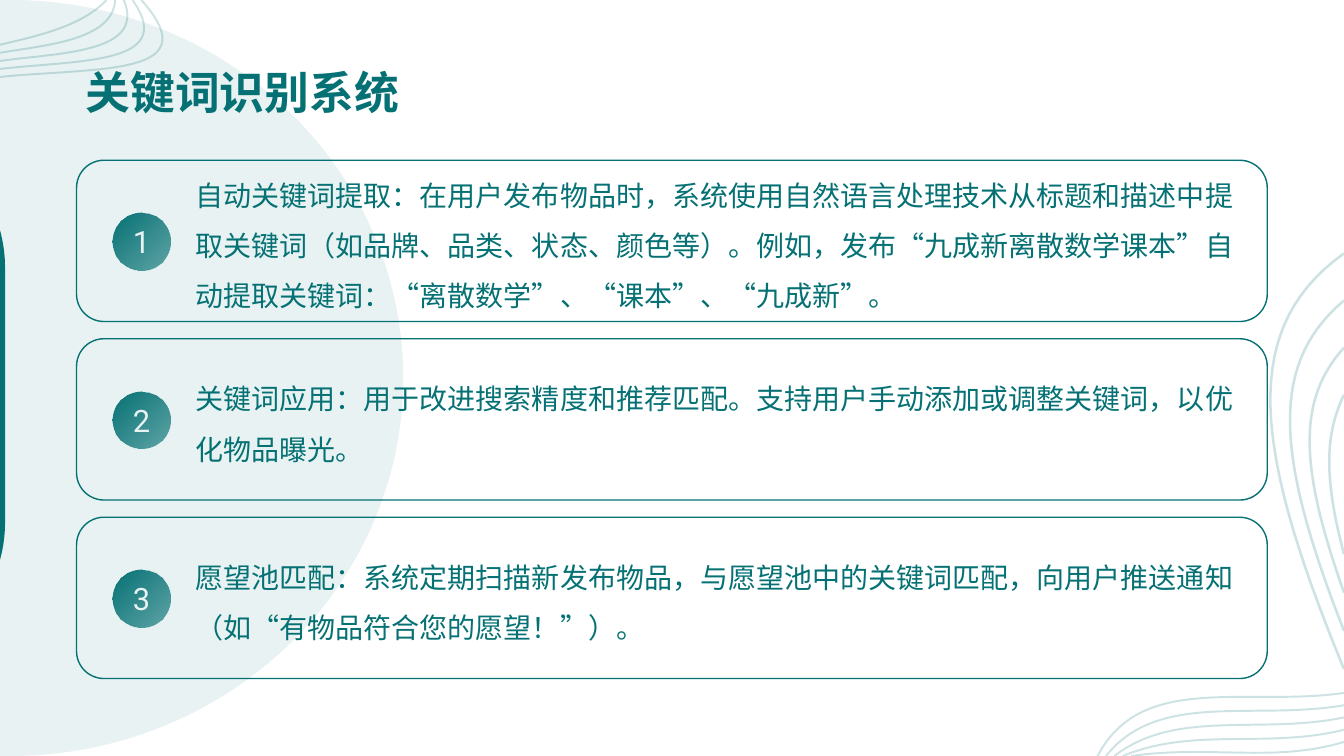
import dataclasses
import pptx
import pptx.util
import pptx.dml.color
import pptx.enum.shapes
import pptx.enum.text
import pptx.oxml
import pptx.oxml.ns

Pt = pptx.util.Pt
KIND = pptx.enum.shapes.MSO_SHAPE
ALIGN = pptx.enum.text.PP_ALIGN
ANCHOR = pptx.enum.text.MSO_ANCHOR
TEAL, WHITE = "057174", "FFFFFF"
SANS = "Noto Sans CJK SC"
WIDE, HIGH = 960, 540


@dataclasses.dataclass
class Box:
    x: float
    y: float
    w: float
    h: float


@dataclasses.dataclass
class Fan:
    """Waves spread evenly between two cubic Bézier curves."""
    count: int
    width: float
    outer: list
    inner: list


@dataclasses.dataclass
class Style:
    size: float
    face: str
    color: str
    bold: bool = False
    align: ALIGN = ALIGN.LEFT
    space: float = 1.0


HEAD = Style(32, SANS, TEAL, True, ALIGN.CENTER)
BODY = Style(20, SANS, TEAL, space=1.5)
DIGIT = Style(22, "Roboto", WHITE, align=ALIGN.CENTER)

ITEMS = [
    "自动关键词提取：在用户发布物品时，系统使用自然语言处理技术从标题和描述中提取关键词（如品牌、品类、状态、颜色等）。"
    "例如，发布“九成新离散数学课本”自动提取关键词：“离散数学”、“课本”、“九成新”。",
    "关键词应用：用于改进搜索精度和推荐匹配。支持用户手动添加或调整关键词，以优化物品曝光。",
    "愿望池匹配：系统定期扫描新发布物品，与愿望池中的关键词匹配，向用户推送通知（如“有物品符合您的愿望！”）。",
]

# Top left corner, right edge, bottom right corner
FANS = [
    Fan(5, 1.4, [(0, 55), (70, 48), (150, 55), (101, 0)], [(0, 32), (20, 27), (58, 20), (76, 0)]),
    Fan(4, 1.8, [(WIDE, 181), (885, 235), (895, 320), (WIDE, 478)],
        [(WIDE, 282), (945, 313), (947, 346), (WIDE, 396)]),
    Fan(5, 1.4, [(WIDE, 495), (890, 505), (815, 480), (784, HIGH)],
        [(WIDE, 530), (910, 545), (865, 532), (808, HIGH)]),
]


def paint(color, code: str) -> None:
    color.rgb = pptx.dml.color.RGBColor.from_string(code)


def apply(obj, props: dict) -> None:
    for name, value in props.items():
        setattr(obj, name, value)


def fade(shape, share: int, index: int = 0) -> None:
    node = shape.element.spPr.xpath(".//a:srgbClr")[index]
    alpha = pptx.oxml.parse_xml(f'<a:alpha {pptx.oxml.ns.nsdecls("a")} val="{share * 1000}"/>')
    node.append(alpha)


def place(shape, box: Box) -> None:
    apply(shape, {"left": Pt(box.x), "top": Pt(box.y), "width": Pt(box.w), "height": Pt(box.h)})


def write(shape, text: str, style: Style, frame: dict) -> None:
    apply(shape.text_frame, frame)
    para = shape.text_frame.paragraphs[0]
    apply(para, {"alignment": style.align, "line_spacing": style.space})
    run = para.add_run()
    run.text = text
    apply(run.font, {"size": Pt(style.size), "bold": style.bold, "name": style.face})
    paint(run.font.color, style.color)
    props = run.font._element
    props.set("lang", "zh-CN")
    face = pptx.oxml.parse_xml(f'<a:ea {pptx.oxml.ns.nsdecls("a")} typeface="{style.face}"/>')
    props.find(pptx.oxml.ns.qn("a:latin")).addnext(face)


def draw(slide, kind: KIND, box: Box, fill: str = TEAL):
    shape = slide.shapes.add_shape(kind, Pt(box.x), Pt(box.y), Pt(box.w), Pt(box.h))
    shape.shadow.inherit = False
    shape.fill.solid()
    paint(shape.fill.fore_color, fill)
    shape.line.fill.background()
    return shape


def blend(a: tuple, b: tuple, t: float) -> tuple:
    return tuple(p + (q - p) * t for p, q in zip(a, b))


def point(pts: list, t: float) -> tuple:
    while len(pts) > 1:
        pts = [blend(a, b, t) for a, b in zip(pts, pts[1:])]
    return tuple(Pt(value) for value in pts[0])


def ripple(slide, fan: Fan, steps: int = 30) -> None:
    for rank in range(fan.count):
        share = rank / (fan.count - 1)
        pts = [blend(a, b, share) for a, b in zip(fan.outer, fan.inner)]
        dots = [point(pts, i / steps) for i in range(steps + 1)]
        form = slide.shapes.build_freeform(*dots[0])
        form.add_line_segments(dots[1:], close=False)
        shape = form.convert_to_shape()
        shape.shadow.inherit = False
        shape.fill.background()
        paint(shape.line.color, TEAL)
        shape.line.width = Pt(fan.width)
        fade(shape, 20)


def card(slide, rank: int, text: str) -> None:
    top = 114.5 + 127.5 * rank
    pane = draw(slide, KIND.ROUNDED_RECTANGLE, Box(54.7, top, 850.5, 115.2), WHITE)
    pane.adjustments[0] = 0.17
    fade(pane, 10)
    paint(pane.line.color, TEAL)
    pane.line.width = Pt(1)
    write(pane, text, BODY, {
        "word_wrap": True, "vertical_anchor": ANCHOR.MIDDLE, "margin_left": Pt(79.2),
        "margin_top": 0, "margin_right": Pt(14.4), "margin_bottom": Pt(5.8)})
    badge = draw(slide, KIND.OVAL, Box(80.6, top + 37.4, 41, 41))
    badge.fill.gradient()
    badge.fill.gradient_angle = 315
    for stop in badge.fill.gradient_stops:
        paint(stop.color, TEAL)
    fade(badge, 59, -1)
    write(badge, str(rank + 1), DIGIT, {"word_wrap": False, "vertical_anchor": ANCHOR.MIDDLE})


def main() -> None:
    deck = pptx.Presentation()
    apply(deck, {"slide_width": Pt(WIDE), "slide_height": Pt(HIGH)})
    slide = deck.slides.add_slide(deck.slide_layouts[5])
    # Corner waves
    for fan in FANS:
        ripple(slide, fan)
    # Title
    title = slide.shapes.title
    place(title, Box(-115.2, 28.1, 576.7, 56.9))
    sides = dict.fromkeys(("margin_left", "margin_top", "margin_right", "margin_bottom"), 0)
    write(title, "关键词识别系统", HEAD, {"word_wrap": True, "vertical_anchor": ANCHOR.BOTTOM, **sides})
    # Numbered cards
    for rank, text in enumerate(ITEMS):
        card(slide, rank, text)
    # Large disc and side tab
    disc = draw(slide, KIND.OVAL, Box(-272.9, 0, 560.9, HIGH))
    fade(disc, 9)
    tab = draw(slide, KIND.ROUNDED_RECTANGLE, Box(-197.3, 90.7, 200.9, 383))
    tab.adjustments[0] = 0.5
    deck.save("out.pptx")


if __name__ == "__main__":
    main()
